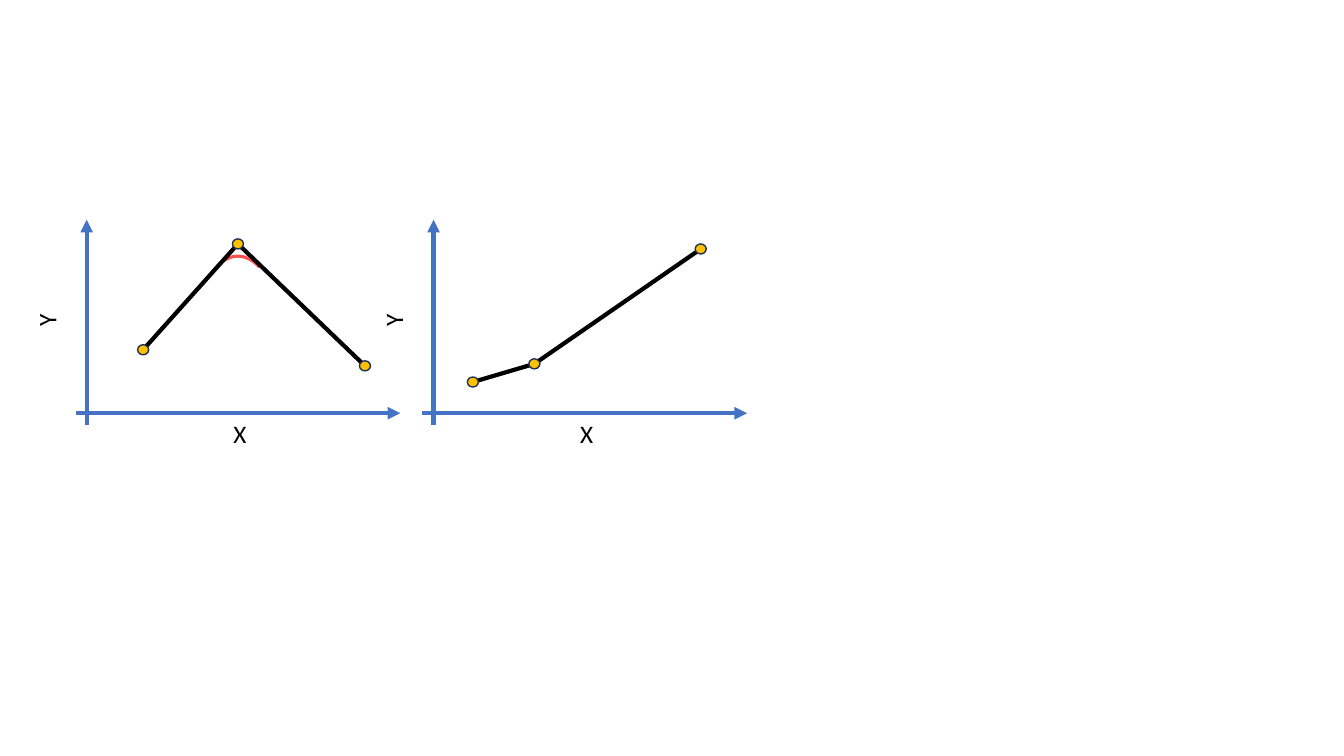
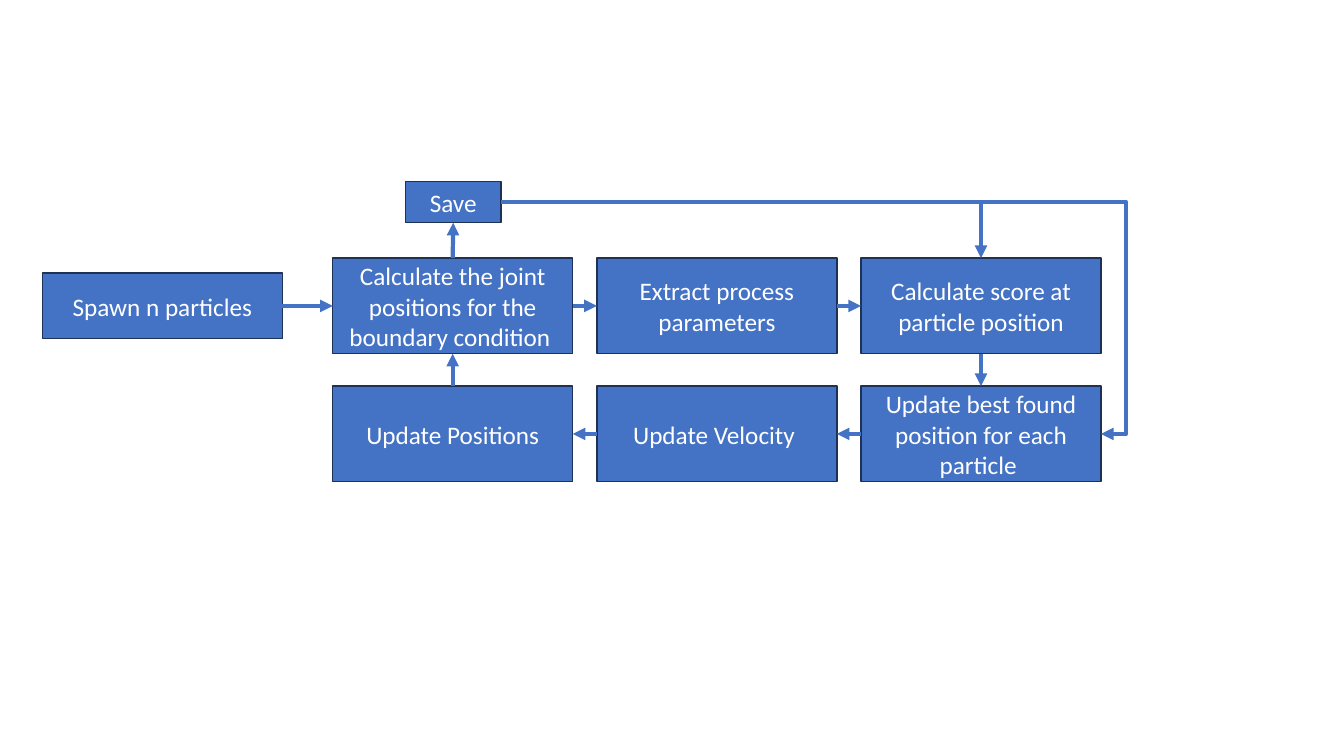
from lxml import etree
from pptx import Presentation
from pptx import util as u
from pptx.dml.color import RGBColor
from pptx.enum import shapes, text
from pptx.oxml.ns import qn

# Content: plots (left shift, joined points, corner arc or none)
PLOTS = [
    (0, [(1.42, 3.47), (2.36, 2.42), (3.62, 3.63)], (1.72, 2.8, 1.28, 0.76)),
    (3.44, [(4.69, 3.79), (5.3, 3.61), (6.95, 2.47)], None),
]
ARC = (198.44, 13.06)

# Content: flow boxes (column, row, words)
STEPS = {
    "joint": (0, 0, "Calculate the joint positions for the boundary condition "),
    "extract": (1, 0, "Extract process parameters"),
    "score": (2, 0, "Calculate score at particle position"),
    "best": (2, 1, "Update best found position for each particle "),
    "speed": (1, 1, "Update Velocity "),
    "place": (0, 1, "Update Positions"),
}
# Arrows: (from box, side, to box, side)
FLOW = [
    ("spawn", "r", "joint", "l"),
    ("joint", "r", "extract", "l"),
    ("extract", "r", "score", "l"),
    ("score", "b", "best", "t"),
    ("best", "l", "speed", "r"),
    ("speed", "l", "place", "r"),
    ("place", "t", "joint", "b"),
    ("joint", "t", "save", "b"),
]

# Shared look
BLUE, NAVY, GOLD, RED = "4472C4", "1E3256", "FFC000", "FF5050"
BLACK, WHITE = "000000", "FFFFFF"
FONT, SIZE = "Calibri", 18
KIND, LINK = shapes.MSO_SHAPE, shapes.MSO_CONNECTOR


def color(code):
    return RGBColor.from_string(code)


def inch(*nums):
    return [u.Inches(n) for n in nums]


def write(shape, words, ink):
    frame = shape.text_frame
    frame.word_wrap = True
    par = frame.paragraphs[0]
    par.text = words
    par.alignment = text.PP_ALIGN.CENTER
    par.font.name, par.font.size = FONT, u.Pt(SIZE)
    par.font.color.rgb = color(ink)
    return frame


def label(slide, words, box, turn=0):
    shape = slide.shapes.add_textbox(*inch(*box))
    shape.rotation = turn
    write(shape, words, BLACK)


def draw(slide, kind, box, fill, line=NAVY, width=1):
    shape = slide.shapes.add_shape(kind, *inch(*box))
    shape.shadow.inherit = False
    if fill:
        shape.fill.solid()
        shape.fill.fore_color.rgb = color(fill)
    else:
        shape.fill.background()
    shape.line.color.rgb = color(line)
    shape.line.width = u.Pt(width)
    return shape


def join(slide, start, end, ink=BLUE, head=True, kind=LINK.STRAIGHT):
    link = slide.shapes.add_connector(kind, *inch(*start, *end))
    link.line.color.rgb = color(ink)
    link.line.width = u.Pt(3)
    if head:
        etree.SubElement(link.line._get_or_add_ln(), qn("a:tailEnd"), type="triangle")
    etree.SubElement(link._element.spPr, qn("a:effectLst"))
    return link


def plot(slide, shift, points, arc):
    if arc:
        curve = draw(slide, KIND.ARC, arc, None, RED, 2.25)
        curve.rotation = 270
        curve.adjustments[0], curve.adjustments[1] = ARC
    # Axes and their names
    join(slide, (shift + 0.75, 4.1), (shift + 3.97, 4.1))
    join(slide, (shift + 0.86, 4.22), (shift + 0.86, 2.18))
    label(slide, "X", (shift + 0.86, 4.1, 3.04, 0.4))
    label(slide, "Y", (shift - 0.46, 2.98, 1.84, 0.4), 270)
    # Path and dots
    for start, end in zip(points, points[1:]):
        join(slide, start, end, BLACK, head=False)
    wide, high = 0.11, 0.1
    for x, y in points:
        draw(slide, KIND.OVAL, (x - wide / 2, y - high / 2, wide, high), GOLD)


def side(box, edge):
    left, top, wide, high = box
    dx, dy = {"l": (0, 0.5), "r": (1, 0.5), "t": (0.5, 0), "b": (0.5, 1)}[edge]
    return left + dx * wide, top + dy * high


def chart(slide):
    wide, high = 2.38, 0.95
    boxes = {"spawn": (0.42, 2.71, wide, 0.65), "save": (4.02, 1.8, 0.95, 0.41)}
    words = {"spawn": "Spawn n particles", "save": "Save"}
    for name, (col, row, line) in STEPS.items():
        boxes[name] = (3.3 + col * 2.62, 2.56 + row * 1.27, wide, high)
        words[name] = line
    for name, box in boxes.items():
        frame = write(draw(slide, KIND.RECTANGLE, box, BLUE), words[name], WHITE)
        frame.vertical_anchor = text.MSO_ANCHOR.MIDDLE
    for start, out, end, into in FLOW:
        join(slide, side(boxes[start], out), side(boxes[end], into))

    # Bent arrows from the save box
    save = side(boxes["save"], "r")
    loop = join(slide, save, side(boxes["best"], "r"), kind=LINK.ELBOW)
    guides = loop._element.spPr.find(qn("a:prstGeom")).get_or_add_avLst()
    etree.SubElement(guides, qn("a:gd"), name="adj1", fmla="val 104200")
    drop = join(slide, save, side(boxes["score"], "t"), kind=LINK.ELBOW)
    drop._element.spPr.find(qn("a:prstGeom")).set("prst", "bentConnector2")


def main():
    deck = Presentation()
    deck.slide_width, deck.slide_height = inch(13.33, 7.5)
    blank = deck.slide_layouts[6]
    graphs = deck.slides.add_slide(blank)
    for item in PLOTS:
        plot(graphs, *item)
    chart(deck.slides.add_slide(blank))
    deck.save("out.pptx")


if __name__ == "__main__":
    main()
